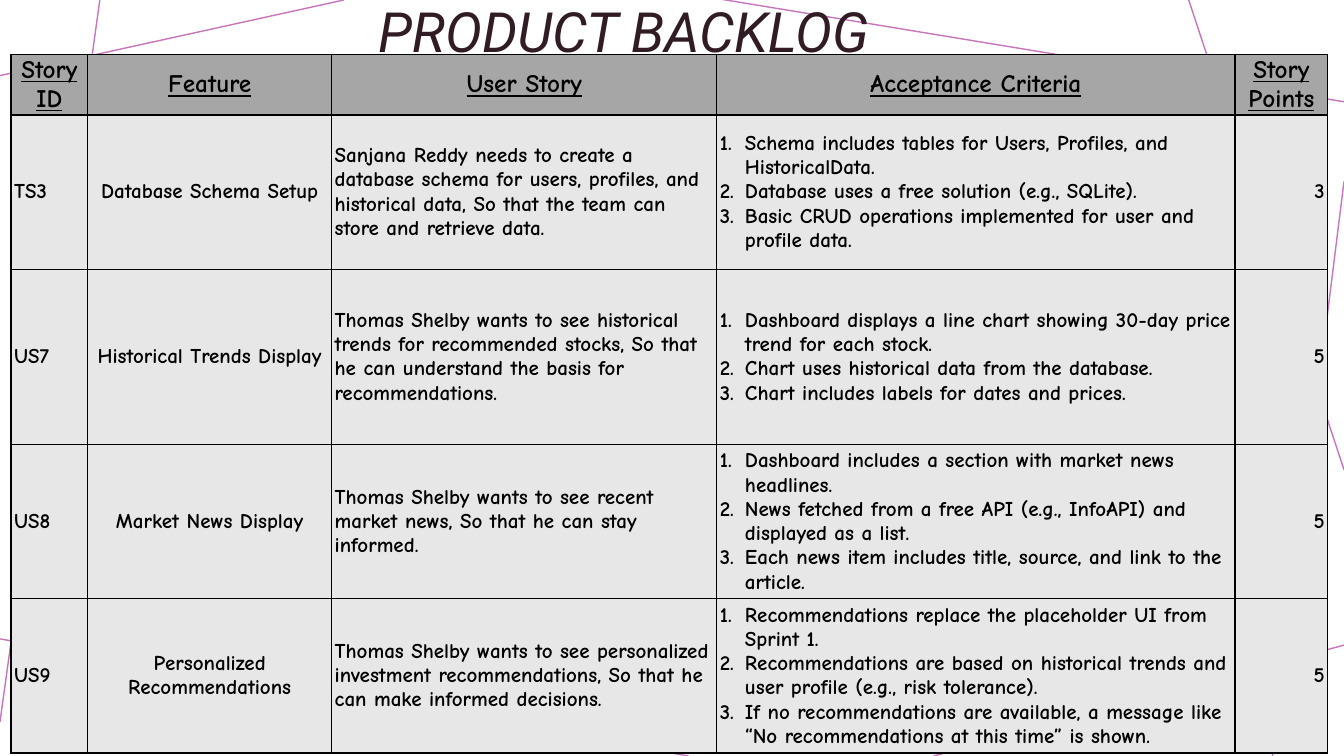
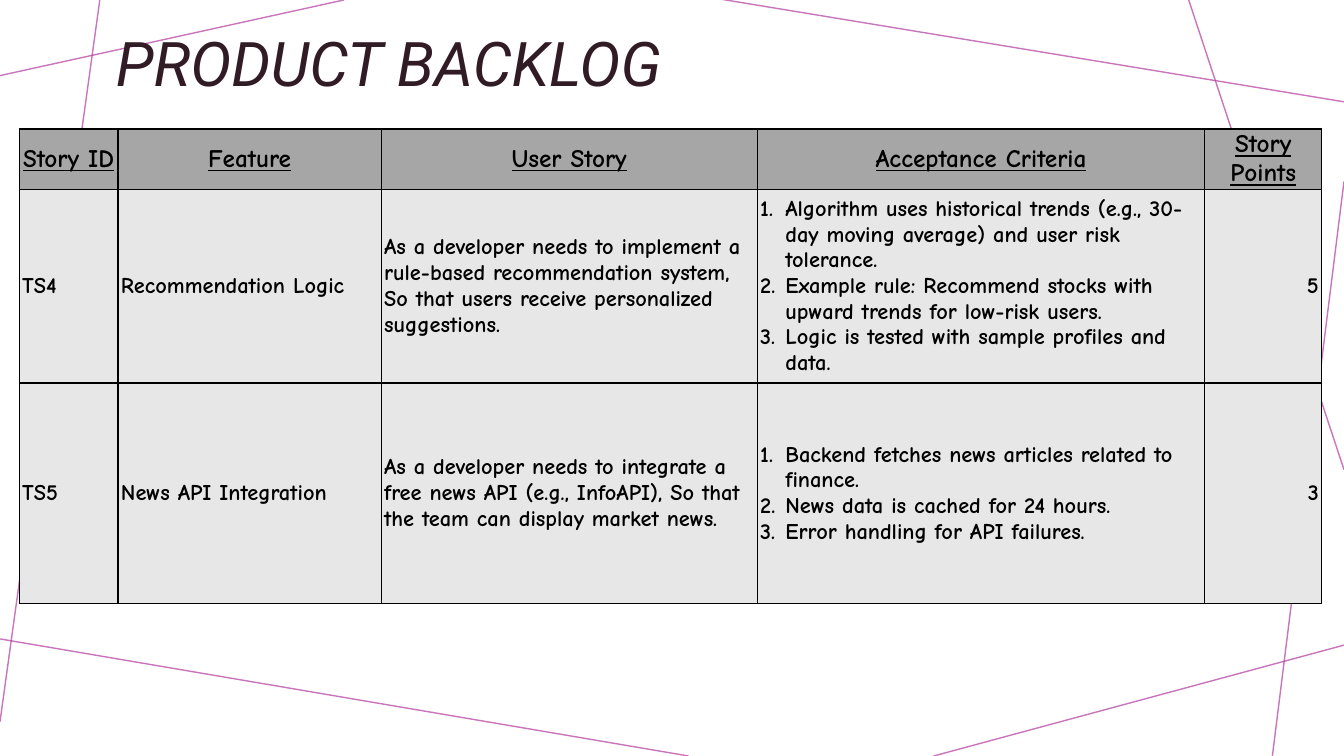
from lxml import etree
from pptx import Presentation
from pptx.dml.color import RGBColor
from pptx.enum import shapes, text
from pptx.oxml import ns
from pptx.util import Inches, Pt

SLIDE_WIDTH, SLIDE_HEIGHT = 13.33, 7.5
COLOURS = {"rule": "B13B9F", "title": "311B25", "text": "000000",
           "border": "000000", "header": "A6A6A6", "body": "E7E7E7"}
TITLE_FONT, TABLE_FONT = "Roboto", "Comic Neue"
LEFT, CENTER, RIGHT = (text.PP_ALIGN.LEFT, text.PP_ALIGN.CENTER,
                       text.PP_ALIGN.RIGHT)

BACKGROUND_LINES = [
    ((3.41, 0), (0, 0.75)),
    ((0.99, 0), (0, 7.16)),
    ((6.83, SLIDE_HEIGHT), (-0.05, 6.33)),
    ((SLIDE_WIDTH, 6.4), (9.26, SLIDE_HEIGHT)),
    ((SLIDE_WIDTH, 1.8), (12.62, SLIDE_HEIGHT)),
    ((SLIDE_WIDTH, 4.66), (11.79, 0)),
    ((SLIDE_WIDTH, 1.01), (7.14, -0.01)),
]

TITLE = "PRODUCT BACKLOG"
HEADINGS = ["Story ID", "Feature", "User Story", "Acceptance Criteria",
            "Story Points"]

BACKLOGS = [
    {
        "title_box": (0.86, 0, 10.65, 0.69), "title_size": 39.6,
        "title_align": CENTER, "table_at": (0.11, 0.54),
        "columns": [0.76, 2.42, 3.82, 5.14, 0.92],
        "rows": [0.6, 1.53, 1.74, 1.53, 1.53],
        "text_size": 15, "feature_align": CENTER,
        "stories": [
            ("TS3", "Database Schema Setup",
             "Sanjana Reddy needs to create a database schema for users, "
             "profiles, and historical data, So that the team can store and "
             "retrieve data.",
             ["Schema includes tables for Users, Profiles, and "
              "HistoricalData.",
              "Database uses a free solution (e.g., SQLite).",
              "Basic CRUD operations implemented for user and profile data."],
             "3"),
            ("US7", "Historical Trends Display",
             "Thomas Shelby wants to see historical trends for recommended "
             "stocks, So that he can understand the basis for "
             "recommendations.",
             ["Dashboard displays a line chart showing 30-day price trend "
              "for each stock.",
              "Chart uses historical data from the database.",
              "Chart includes labels for dates and prices."],
             "5"),
            ("US8", "Market News Display",
             "Thomas Shelby wants to see recent market news, So that he can "
             "stay informed.",
             ["Dashboard includes a section with market news headlines.",
              "News fetched from a free API (e.g., InfoAPI) and displayed as "
              "a list.",
              "Each news item includes title, source, and link to the "
              "article."],
             "5"),
            ("US9", "Personalized Recommendations",
             "Thomas Shelby wants to see personalized investment "
             "recommendations, So that he can make informed decisions.",
             ["Recommendations replace the placeholder UI from Sprint 1.",
              "Recommendations are based on historical trends and user "
              "profile (e.g., risk tolerance).",
              "If no recommendations are available, a message like “No "
              "recommendations at this time” is shown."],
             "5"),
        ],
    },
    {
        "title_box": (1.05, 0, 10.46, 1.04), "title_size": 44,
        "title_align": LEFT, "table_at": (0.19, 1.28),
        "columns": [0.98, 2.61, 3.73, 4.44, 1.16],
        "rows": [0.6, 1.92, 2.19],
        "text_size": 16, "feature_align": LEFT,
        "stories": [
            ("TS4", "Recommendation Logic",
             "As a developer needs to implement a rule-based recommendation "
             "system, So that users receive personalized suggestions.",
             ["Algorithm uses historical trends (e.g., 30-day moving average) "
              "and user risk tolerance.",
              "Example rule: Recommend stocks with upward trends for low-risk "
              "users.",
              "Logic is tested with sample profiles and data."],
             "5"),
            ("TS5", "News API Integration",
             "As a developer needs to integrate a free news API (e.g., "
             "InfoAPI), So that the team can display market news.",
             ["Backend fetches news articles related to finance.",
              "News data is cached for 24 hours.",
              "Error handling for API failures."],
             "3"),
        ],
    },
]


def colour(name):
    return RGBColor.from_string(COLOURS[name])


def set_all(target, values):
    for name, value in values.items():
        setattr(target, name, value)


def add_element(parent, tag, **attributes):
    return etree.SubElement(parent, ns.qn(tag), attributes)


def add_background_lines(slide, layout):
    """Draw the lines and move them to the layout that all slides share."""
    for start, end in BACKGROUND_LINES:
        line = slide.shapes.add_connector(
            shapes.MSO_CONNECTOR.STRAIGHT, *map(Inches, start + end))
        line.line.width = Pt(1)
        line.line.color.rgb = colour("rule")
        properties = line._element.spPr
        add_element(next(properties.iter(ns.qn("a:srgbClr"))), "a:alpha",
                    val="70000")
        add_element(properties, "a:effectLst")
        layout.shapes._spTree.append(line._element)


def add_title(slide, backlog):
    title = slide.shapes.title
    set_all(title, dict(zip(("left", "top", "width", "height"),
                            map(Inches, backlog["title_box"]))))
    set_all(title.text_frame, {
        "text": TITLE, "word_wrap": True, "auto_size": text.MSO_AUTO_SIZE.NONE,
        "vertical_anchor": text.MSO_ANCHOR.BOTTOM})
    paragraph = title.text_frame.paragraphs[0]
    set_all(paragraph, {"alignment": backlog["title_align"],
                        "line_spacing": 0.9})
    font = paragraph.runs[0].font
    set_all(font, {"name": TITLE_FONT, "size": Pt(backlog["title_size"]),
                   "italic": True})
    font.color.rgb = colour("title")


def add_borders(cell):
    properties = cell._tc.get_or_add_tcPr()
    for side in ("L", "R", "T", "B"):
        border = add_element(properties, f"a:ln{side}", w=str(Pt(1)))
        fill = add_element(border, "a:solidFill")
        add_element(fill, "a:srgbClr", val=COLOURS["border"])


def number_paragraph(paragraph):
    properties = paragraph._p.get_or_add_pPr()
    indent = Inches(0.25)
    properties.set("marL", str(indent))
    properties.set("indent", str(-indent))
    add_element(properties, "a:buAutoNum", type="arabicPeriod")


def fill_cell(cell, content, size, alignment, header):
    """Write a cell; a list becomes numbered paragraphs."""
    side, end = (0.02, 0.01) if header else (0.03, 0.02)
    set_all(cell, {"margin_left": Inches(side), "margin_right": Inches(side),
                   "margin_top": Inches(end), "margin_bottom": Inches(end),
                   "vertical_anchor": text.MSO_ANCHOR.MIDDLE})
    add_borders(cell)
    cell.fill.solid()
    cell.fill.fore_color.rgb = colour("header" if header else "body")
    numbered = isinstance(content, list)
    cell.text = "\n".join(content) if numbered else content
    for paragraph in cell.text_frame.paragraphs:
        if numbered:
            number_paragraph(paragraph)
        paragraph.alignment = alignment
        font = paragraph.runs[0].font
        set_all(font, {"name": TABLE_FONT, "size": Pt(size), "bold": True,
                       "underline": header})
        font.color.rgb = colour("text")


def add_backlog_table(slide, backlog):
    columns, rows = backlog["columns"], backlog["rows"]
    left, top = backlog["table_at"]
    table = slide.shapes.add_table(
        len(rows), len(columns),
        *map(Inches, (left, top, sum(columns), sum(rows)))).table
    for column, width in zip(table.columns, columns):
        column.width = Inches(width)
    for row, height in zip(table.rows, rows):
        row.height = Inches(height)
    body_alignments = [LEFT, backlog["feature_align"], LEFT, LEFT, RIGHT]
    for row_index, contents in enumerate([HEADINGS, *backlog["stories"]]):
        header = row_index == 0
        size = 18 if header else backlog["text_size"]
        for column_index, content in enumerate(contents):
            alignment = CENTER if header else body_alignments[column_index]
            fill_cell(table.cell(row_index, column_index), content, size,
                      alignment, header)


def main():
    presentation = Presentation()
    set_all(presentation, {"slide_width": Inches(SLIDE_WIDTH),
                           "slide_height": Inches(SLIDE_HEIGHT)})
    layout = presentation.slide_layouts.get_by_name("Title Only")
    for index, backlog in enumerate(BACKLOGS):
        slide = presentation.slides.add_slide(layout)
        if index == 0:
            add_background_lines(slide, layout)
        add_title(slide, backlog)
        add_backlog_table(slide, backlog)
    presentation.save("out.pptx")


if __name__ == "__main__":
    main()
